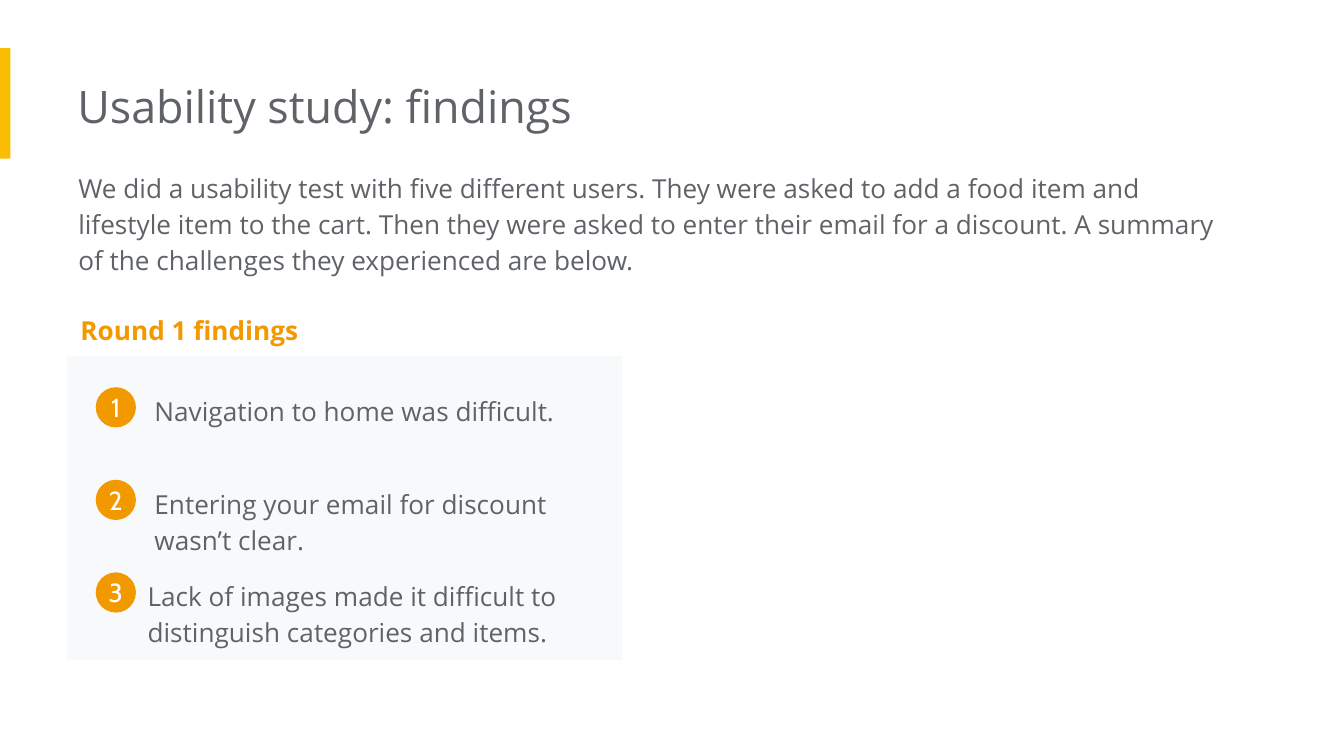
from pptx import Presentation
from pptx.dml.color import RGBColor
from pptx.enum.shapes import MSO_SHAPE
from pptx.enum.text import MSO_ANCHOR, MSO_AUTO_SIZE, PP_ALIGN
from pptx.util import Cm, Pt

TITLE = "Usability study: findings"
INTRO = (
    "We did a usability test with five different users. They were asked to add "
    "a food item and lifestyle item to the cart. Then they were asked to enter "
    "their email for a discount. A summary of the challenges they experienced "
    "are below."
)
ROUND = "Round 1 findings"
# Text, left edge and height of its box in cm
FINDINGS = [
    ("Navigation to home was difficult.", 2.67, 1.12),
    ("Entering your email for discount wasn’t clear.", 2.67, 1.8),
    ("Lack of images made it difficult to distinguish categories and items.", 2.54, 1.8),
]

COLORS = {
    "bar": "FBBC04",
    "text": "5F6368",
    "accent": "F29900",
    "panel": "F8F9FA",
    "white": "FFFFFF",
}
FONT = "Open Sans"
INSET = 0.25
TOP, PITCH = 7.14, 1.75
DOT, DOT_LEFT, DOT_DROP = 0.76, 1.81, 0.18


def color(name):
    return RGBColor.from_string(COLORS[name])


def place(shape, left, top, width, height):
    shape.left, shape.top = Cm(left), Cm(top)
    shape.width, shape.height = Cm(width), Cm(height)


def write(shape, text, size=14, tint="text", bold=False, font=FONT,
          spacing=1.15, align=PP_ALIGN.LEFT, anchor=MSO_ANCHOR.TOP,
          left=INSET, inset=INSET):
    """Put one styled run in the shape; left is the left inset in cm."""
    frame = shape.text_frame
    frame.word_wrap = True
    frame.auto_size = MSO_AUTO_SIZE.NONE
    frame.vertical_anchor = anchor
    frame.margin_left = Cm(left)
    frame.margin_top = frame.margin_right = frame.margin_bottom = Cm(inset)
    para = frame.paragraphs[0]
    para.alignment = align
    para.line_spacing = spacing
    run = para.add_run()
    run.text = text
    run.font.name = font
    run.font.size = Pt(size)
    run.font.bold = bold
    run.font.color.rgb = color(tint)


def add_block(slide, kind, tint, *box):
    block = slide.shapes.add_shape(kind, *map(Cm, box))
    block.shadow.inherit = False
    block.fill.solid()
    block.fill.fore_color.rgb = color(tint)
    block.line.fill.background()
    return block


def add_text(slide, text, box, **style):
    write(slide.shapes.add_textbox(*map(Cm, box)), text, **style)


def main():
    deck = Presentation()
    deck.slide_width, deck.slide_height = Cm(25.4), Cm(14.29)
    slide = deck.slides.add_slide(deck.slide_layouts.get_by_name("Title Only"))

    add_block(slide, MSO_SHAPE.RECTANGLE, "bar", 0, 0.91, 0.2, 2.09)
    title = slide.shapes.title
    place(title, 1.46, 1.24, 17.1, 1.55)
    write(title, TITLE, size=24, spacing=1.0, left=0)
    add_text(slide, INTRO, (1.48, 2.92, 21.88, 3.18), left=0)
    add_text(slide, ROUND, (1.27, 5.61, 9.27, 1.12), tint="accent", bold=True)

    add_block(slide, MSO_SHAPE.RECTANGLE, "panel", 1.27, 6.73, 10.5, 5.75)
    for row, (text, left, height) in enumerate(FINDINGS):
        top = TOP + row * PITCH
        add_text(slide, text, (left, top, 9.27, height))
        dot = add_block(slide, MSO_SHAPE.OVAL, "accent",
                        DOT_LEFT, top + DOT_DROP, DOT, DOT)
        write(dot, str(row + 1), tint="white", font="Cabin", spacing=1.0,
              align=PP_ALIGN.CENTER, anchor=MSO_ANCHOR.MIDDLE, left=0, inset=0)

    deck.save("out.pptx")


if __name__ == "__main__":
    main()
